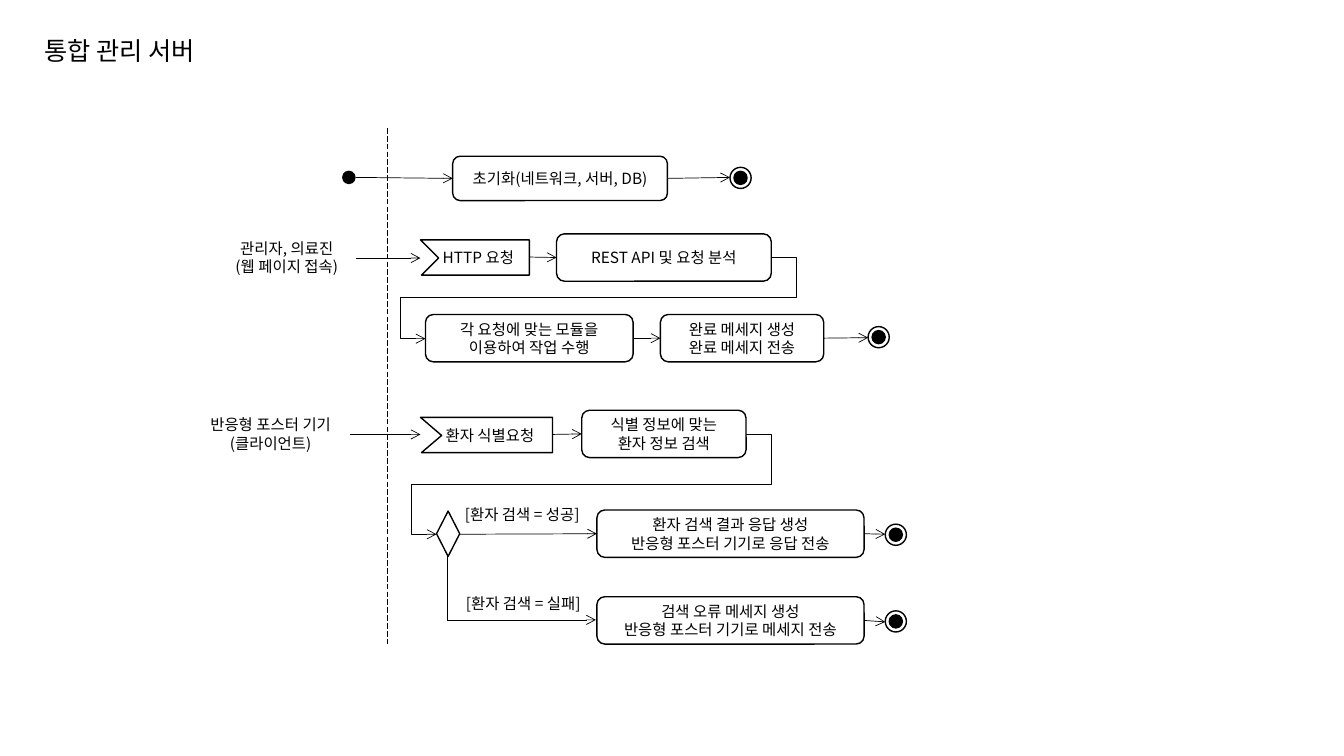
from pptx import Presentation
from pptx.dml.color import RGBColor
from pptx.enum.dml import MSO_LINE
from pptx.enum.shapes import MSO_CONNECTOR as Link, MSO_SHAPE as Shape
from pptx.enum.text import MSO_ANCHOR, MSO_AUTO_SIZE, PP_ALIGN
from pptx.oxml.ns import qn
from pptx.util import Pt
from lxml.etree import SubElement

PX = 9144
FONT = "Noto Sans CJK KR"
BLACK, WHITE = "000000", "FFFFFF"
color = RGBColor.from_string


def paint(shape, fill):
    shape.shadow.inherit = False
    shape.fill.solid()
    shape.fill.fore_color.rgb = color(fill)
    shape.line.color.rgb = color(BLACK)
    shape.line.width = Pt(1)


def write(shape, lines, size=11, align=PP_ALIGN.CENTER, **frame_format):
    frame = shape.text_frame
    for key, value in ({"word_wrap": True} | frame_format).items():
        setattr(frame, key, value)
    for index, line in enumerate(lines):
        para = frame.paragraphs[0] if index == 0 else frame.add_paragraph()
        para.alignment = align
        span = para.add_run()
        span.text = line
        for key, value in {"name": FONT, "size": Pt(size)}.items():
            setattr(span.font, key, value)
        span.font.color.rgb = color(BLACK)
        SubElement(span.font._element, qn("a:ea"), typeface=FONT)


deck = Presentation()
deck.slide_width, deck.slide_height = 1333 * PX, 750 * PX
page = deck.slides.add_slide(deck.slide_layouts[6])
shapes = page.shapes

title = shapes.add_textbox(34 * PX, 30 * PX, 190 * PX, 40 * PX)
write(title, ["통합 관리 서버"], 18, PP_ALIGN.LEFT, word_wrap=False,
      auto_size=MSO_AUTO_SIZE.SHAPE_TO_FIT_TEXT)

labels = [
    (216, 232, 137, 47, ["관리자, 의료진", "(웹 페이지 접속)"]),
    (190, 407, 157, 47, ["반응형 포스터 기기", "(클라이언트)"]),
    (440, 496, 156, 29, ["[환자 검색 = 성공]"]),
    (440, 584, 158, 29, ["[환자 검색 = 실패]"]),
]
for *place, lines in labels:
    label = shapes.add_textbox(*(n * PX for n in place))
    write(label, lines, auto_size=MSO_AUTO_SIZE.SHAPE_TO_FIT_TEXT)

actions = {
    "init": (449, 155, 213, 44, ["초기화(네트워크, 서버, DB)"]),
    "analyze": (552, 232, 213, 47, ["REST API 및 요청 분석"]),
    "work": (422, 312, 206, 47, ["각 요청에 맞는 모듈을", "이용하여 작업 수행"]),
    "done": (655, 312, 162, 47, ["완료 메세지 생성", "완료 메세지 전송"]),
    "search": (577, 407, 163, 47, ["식별 정보에 맞는", "환자 정보 검색"]),
    "found": (592, 506, 265, 47, ["환자 검색 결과 응답 생성", "반응형 포스터 기기로 응답 전송"]),
    "missing": (592, 592, 265, 47, ["검색 오류 메세지 생성", "반응형 포스터 기기로 메세지 전송"]),
}
boxes = {}
for name, (*place, lines) in actions.items():
    box = shapes.add_shape(Shape.ROUNDED_RECTANGLE, *(n * PX for n in place))
    paint(box, WHITE)
    write(box, lines, vertical_anchor=MSO_ANCHOR.MIDDLE)
    boxes[name] = box

for top, width, notch, line in [(238, 108, 18, "HTTP 요청"), (414, 131, 21, "환자 식별요청")]:
    builder = shapes.build_freeform(417, top, scale=PX)
    builder.add_line_segments([
        (417 + width, top), (417 + width, top + 35), (418, top + 35), (417 + notch, top + 18),
    ])
    signal = builder.convert_to_shape()
    paint(signal, WHITE)
    write(signal, [line], vertical_anchor=MSO_ANCHOR.MIDDLE,
          margin_left=12 * PX, margin_right=5 * PX)

start = shapes.add_shape(Shape.OVAL, 340 * PX, 170 * PX, 12 * PX, 12 * PX)
paint(start, BLACK)
decision = shapes.add_shape(Shape.FLOWCHART_DECISION, 433 * PX, 507 * PX, 23 * PX, 45 * PX)
paint(decision, WHITE)

for left, top in [(724, 166), (861, 324), (878, 520), (878, 606)]:
    final = page.shapes.add_group_shape()
    for inset, size, fill in [(0, 21, WHITE), (4, 13, BLACK)]:
        circle = final.shapes.add_shape(
            Shape.OVAL, (left + inset) * PX, (top + inset) * PX, size * PX, size * PX)
        paint(circle, fill)

flows = [
    (353, 176, 449, 176, None, "init"),
    (662, 177, 724, 176, "init", None),
    (353, 256, 417, 256, None, None),
    (525, 255, 552, 255, None, "analyze"),
    (628, 336, 655, 335, "work", "done"),
    (817, 335, 861, 335, "done", None),
    (347, 431, 417, 431, None, None),
    (548, 431, 577, 431, None, "search"),
    (456, 530, 592, 529, None, "found"),
    (857, 529, 878, 530, "found", None),
    (857, 616, 878, 617, "missing", None),
]
lines = []
for *ends, source, target in flows:
    arrow = shapes.add_connector(Link.STRAIGHT, *(n * PX for n in ends))
    if source:
        arrow.begin_connect(boxes[source], 3)
    if target:
        arrow.end_connect(boxes[target], 1)
    lines.append(arrow)

bends = [
    (765, 255, 422, 336, "bentConnector5", 0, (-7300, 50000, 107300)),
    (740, 431, 433, 530, "bentConnector5", 0, (-8100, 50400, 108100)),
    (549, 510, 486, 657, "bentConnector2", 270, ()),
]
for *ends, preset, turn, adjustments in bends:
    arrow = shapes.add_connector(Link.ELBOW, *(n * PX for n in ends))
    arrow._element.spPr.find(qn("a:xfrm")).set("rot", str(turn * 60000))
    geometry = arrow._element.spPr.find(qn("a:prstGeom"))
    geometry.set("prst", preset)
    guides = geometry.find(qn("a:avLst"))
    for index, value in enumerate(adjustments, 1):
        SubElement(guides, qn("a:gd"), name=f"adj{index}", fmla=f"val {value}")
    lines.append(arrow)

border = shapes.add_connector(Link.STRAIGHT, 384 * PX, 127 * PX, 384 * PX, 639 * PX)
for line in [*lines, border]:
    line.line.color.rgb = color(BLACK)
    line.line.width = Pt(0.5)
    if line is border:
        line.line.dash_style = MSO_LINE.LONG_DASH
    else:
        SubElement(line.line._get_or_add_ln(), qn("a:tailEnd"), type="arrow")
    SubElement(line._element.spPr, qn("a:effectLst"))

deck.save("out.pptx")
